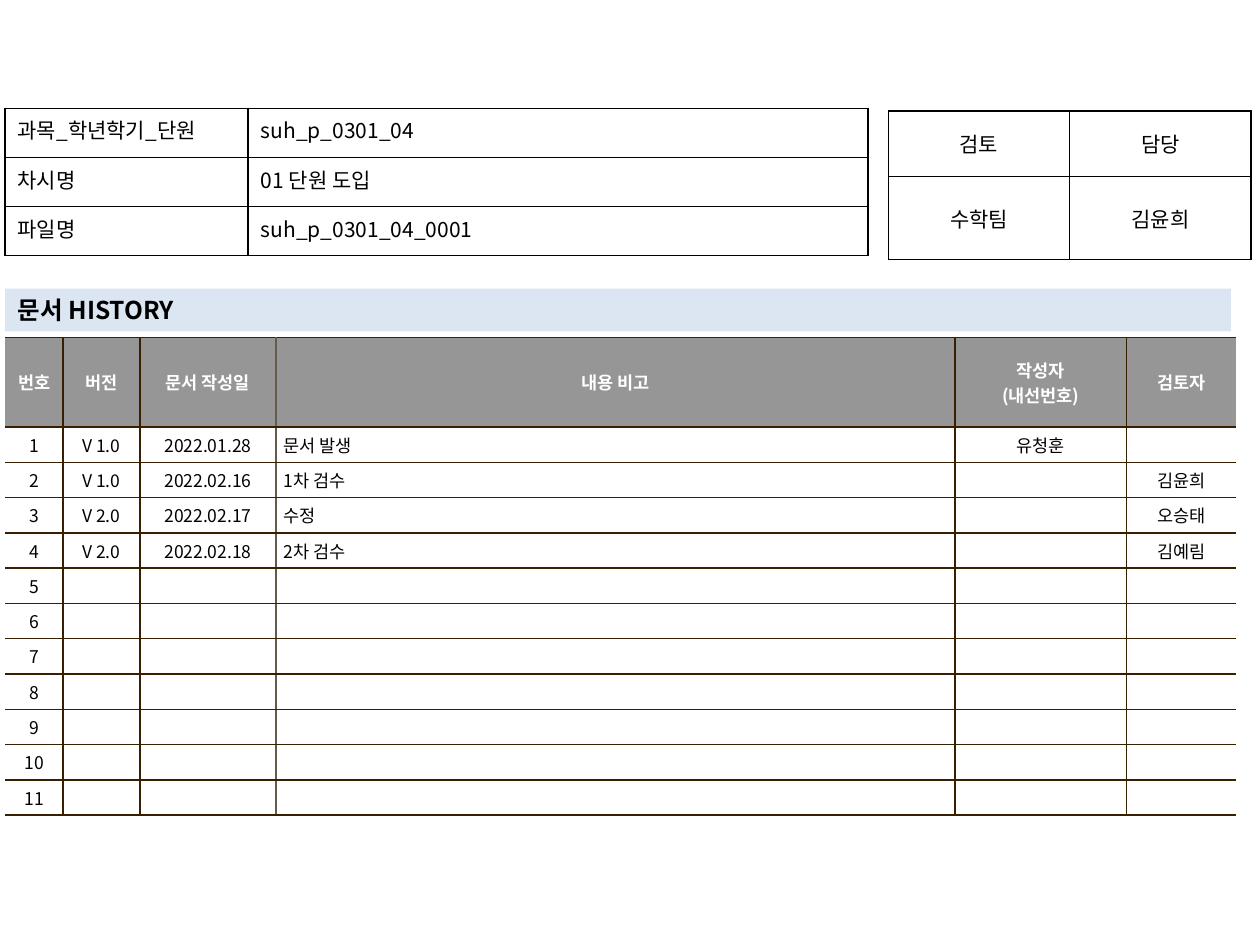
import pptx
import pptx.util
import pptx.dml.color
import pptx.enum.text
import pptx.oxml.ns
from lxml import etree

Inches = pptx.util.Inches
ALIGN = pptx.enum.text.PP_ALIGN
ANCHOR = pptx.enum.text.MSO_ANCHOR

FONT = "Noto Sans CJK KR"
BLACK, WHITE, BROWN, TAUPE = "000000", "FFFFFF", "362000", "645B4C"
HEADER_GRAY, TITLE_BLUE = "969696", "DCE6F2"

TITLE = "문서 HISTORY"
DOCUMENT_INFO = [
    ("과목_학년학기_단원", "suh_p_0301_04"),
    ("차시명", "01 단원 도입"),
    ("파일명", "suh_p_0301_04_0001"),
]
APPROVAL = [("검토", "담당"), ("수학팀", "김윤희")]
HISTORY_HEADER = ("번호", "버전", "문서 작성일", "내용 비고", "작성자\n(내선번호)", "검토자")
HISTORY_ENTRIES = [
    ("V 1.0", "2022.01.28", "문서 발생", "유청훈", ""),
    ("V 1.0", "2022.02.16", "1차 검수", "", "김윤희"),
    ("V 2.0", "2022.02.17", "수정", "", "오승태"),
    ("V 2.0", "2022.02.18", "2차 검수", "", "김예림"),
]
HISTORY_ROWS = 11
REMARK_COLUMN = 3


def rgb(color):
    return pptx.dml.color.RGBColor.from_string(color)


def add_element(parent, tag, **attributes):
    return etree.SubElement(parent, pptx.oxml.ns.qn(tag), attributes)


def write_text(frame, text, size=12, color=BLACK, bold=False, align=ALIGN.LEFT):
    for index, line in enumerate(text.split("\n")):
        paragraph = frame.paragraphs[0] if index == 0 else frame.add_paragraph()
        paragraph.alignment = align
        if not line:
            # Keeps an empty cell from growing to the default text size
            add_element(paragraph._p, "a:endParaRPr", sz=str(size * 100))
            continue
        run = paragraph.add_run()
        run.text = line
        run.font.size = pptx.util.Pt(size)
        run.font.bold = bold
        run.font.color.rgb = rgb(color)
        run.font.name = FONT
        add_element(run.font._element, "a:ea", typeface=FONT)


def set_borders(cell, left, right, top, bottom):
    """Draw 1 pt cell borders; None leaves a side without a line."""
    properties = cell._tc.get_or_add_tcPr()
    sides = {"a:lnL": left, "a:lnR": right, "a:lnT": top, "a:lnB": bottom}
    for tag, color in sides.items():
        line = add_element(properties, tag, w="12700")
        if color is None:
            add_element(line, "a:noFill")
        else:
            add_element(add_element(line, "a:solidFill"), "a:srgbClr", val=color)


def add_grid(slide, left, top, widths, heights, margins):
    """Add a plain table and return it with its cells' margins set."""
    frame = slide.shapes.add_table(
        len(heights), len(widths), Inches(left), Inches(top),
        Inches(sum(widths)), Inches(sum(heights)))
    table = frame.table
    table.first_row = table.horz_banding = False
    for column, width in zip(table.columns, widths):
        column.width = Inches(width)
    for row, height in zip(table.rows, heights):
        row.height = Inches(height)
    for cell in table.iter_cells():
        cell.margin_left = cell.margin_right = Inches(margins[0])
        cell.margin_top = cell.margin_bottom = Inches(margins[1])
    return table


def add_form(slide, rows, left, top, widths, heights, aligns, anchor):
    table = add_grid(slide, left, top, widths, heights, (0.1, 0.05))
    for row_index, row in enumerate(rows):
        for column_index, text in enumerate(row):
            cell = table.cell(row_index, column_index)
            cell.vertical_anchor = anchor
            set_borders(cell, BLACK, BLACK, BLACK, BLACK)
            cell.fill.background()
            write_text(cell.text_frame, text, align=aligns[column_index])


def add_history(slide):
    blank = ("",) * (len(HISTORY_HEADER) - 1)
    entries = HISTORY_ENTRIES + [blank] * (HISTORY_ROWS - len(HISTORY_ENTRIES))
    rows = [HISTORY_HEADER]
    rows += [(str(number), *entry) for number, entry in enumerate(entries, 1)]
    widths = [0.46, 0.61, 1.08, 5.39, 1.36, 0.87]
    table = add_grid(slide, 0.04, 2.68, widths, [0.71] + [0.28] * HISTORY_ROWS, (0.06, 0.04))

    # Vertical lines from left to right; the outer sides stay open
    verticals = [None] + [BROWN] * (len(widths) - 1) + [None]
    verticals[REMARK_COLUMN] = TAUPE
    for row_index, row in enumerate(rows):
        header = row_index == 0
        for column_index, text in enumerate(row):
            cell = table.cell(row_index, column_index)
            cell.vertical_anchor = ANCHOR.MIDDLE
            set_borders(cell, verticals[column_index], verticals[column_index + 1], BROWN, BROWN)
            cell.fill.solid()
            cell.fill.fore_color.rgb = rgb(HEADER_GRAY if header else WHITE)
            remark = column_index == REMARK_COLUMN and not header
            write_text(cell.text_frame, text, size=10, bold=header,
                       color=WHITE if header else BLACK,
                       align=ALIGN.LEFT if remark else ALIGN.CENTER)


def add_title(slide):
    title = slide.shapes.title
    title.left, title.top = Inches(0.04), Inches(2.29)
    title.width, title.height = Inches(9.73), Inches(0.34)
    title.fill.solid()
    title.fill.fore_color.rgb = rgb(TITLE_BLUE)
    title.text_frame.auto_size = pptx.enum.text.MSO_AUTO_SIZE.NONE
    title.text_frame.vertical_anchor = ANCHOR.MIDDLE
    write_text(title.text_frame, TITLE, size=14, bold=True)


def main():
    presentation = pptx.Presentation()
    presentation.slide_width, presentation.slide_height = Inches(10), Inches(7.5)
    slide = presentation.slides.add_slide(presentation.slide_layouts[5])
    add_title(slide)
    add_history(slide)
    add_form(slide, APPROVAL, 7.05, 0.88, [1.44, 1.44], [0.52, 0.66],
             [ALIGN.CENTER, ALIGN.CENTER], ANCHOR.MIDDLE)
    add_form(slide, DOCUMENT_INFO, 0.04, 0.86, [1.93, 4.92], [0.39] * 3,
             [ALIGN.JUSTIFY, ALIGN.LEFT], ANCHOR.TOP)
    presentation.save("out.pptx")


if __name__ == "__main__":
    main()
